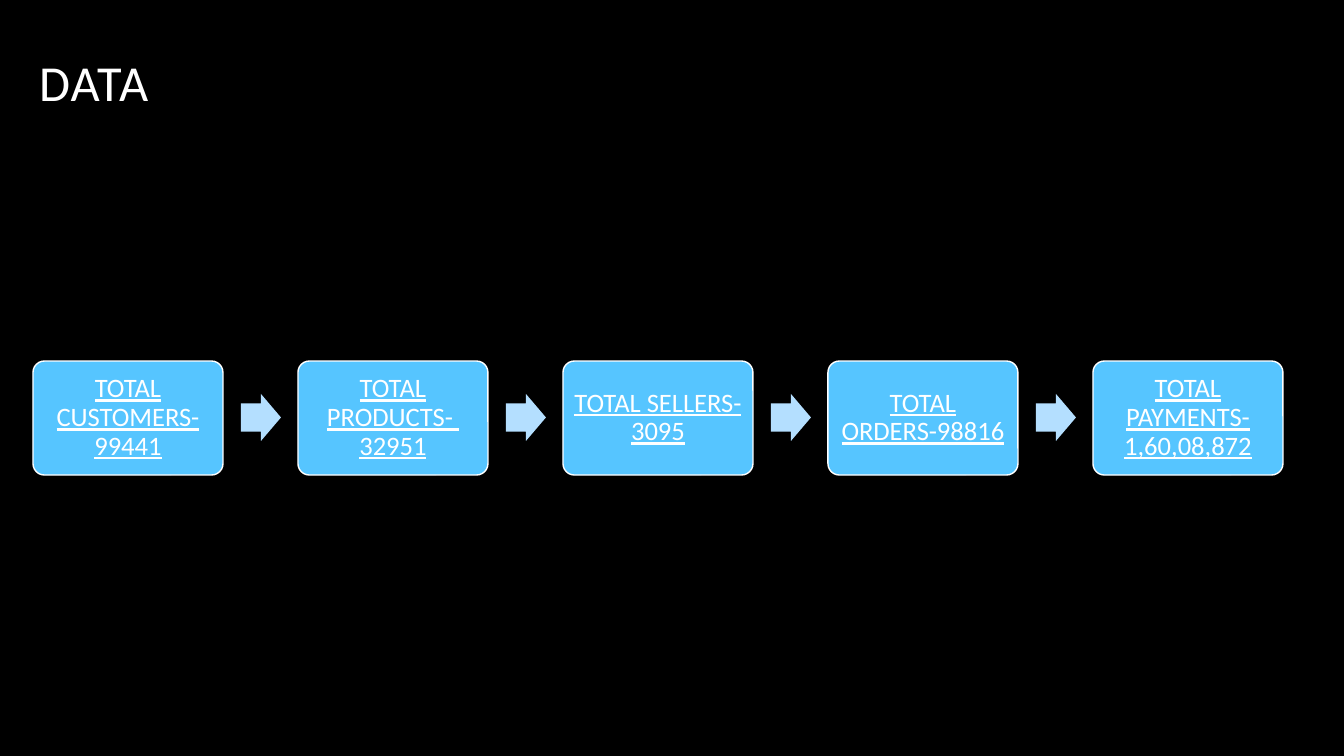
"""Build the DATA slide: five totals in a row of boxes joined by block arrows."""
from dataclasses import dataclass

from pptx import Presentation
from pptx import util as u
from pptx.dml.color import RGBColor
from pptx.enum import shapes, text

TITLE = "DATA"
TOTALS = [
    "TOTAL CUSTOMERS- 99441",
    "TOTAL PRODUCTS-  32951",
    "TOTAL SELLERS- 3095",
    "TOTAL ORDERS-98816",
    "TOTAL PAYMENTS- 1,60,08,872",
]

SLIDE_W, SLIDE_H = 1344, 756
TITLE_BOX = (29, 29, 1147, 88)
ROW_X, ROW_Y, PITCH = 33, 361, 265
BOX_W, BOX_H = 190, 114
ARROW_W, ARROW_H, ARROW_GAP = 40, 47, 18


@dataclass(frozen=True)
class Theme:
    font: str = "Calibri"
    background: str = "000000"
    ink: str = "FFFFFF"
    box: str = "56C5FF"
    arrow: str = "B4DFFF"
    title_size: int = 36
    box_size: int = 19
    line_width: int = 1


THEME = Theme()


def px(n):
    return u.Emu(round(n * 12192000 / SLIDE_W))


def rgb(value):
    return RGBColor.from_string(value)


def write(sp, content, size, anchor, align, inset, underline=False, spacing=0):
    tf = sp.text_frame
    tf.word_wrap = True
    tf.vertical_anchor = anchor
    tf.margin_left = tf.margin_right = px(inset[0])
    tf.margin_top = tf.margin_bottom = px(inset[1])
    p = tf.paragraphs[0]
    p.alignment = align
    p.line_spacing = 0.9
    r = p.add_run()
    r.text = content
    r.font.name = THEME.font
    r.font.size = u.Pt(size)
    r.font.underline = underline
    r.font.color.rgb = rgb(THEME.ink)
    if spacing:
        r.font._element.set("spc", str(spacing * 100))


def add_block(s, kind, box, fill, adjustments, line=None):
    sp = s.shapes.add_shape(kind, *map(px, box))
    sp.shadow.inherit = False
    sp.fill.solid()
    sp.fill.fore_color.rgb = rgb(fill)
    for i, value in enumerate(adjustments):
        sp.adjustments[i] = value
    if line:
        sp.line.color.rgb = rgb(line)
        sp.line.width = u.Pt(THEME.line_width)
    else:
        sp.line.fill.background()
    return sp


def main():
    prs = Presentation()
    prs.slide_width, prs.slide_height = px(SLIDE_W), px(SLIDE_H)
    s = prs.slides.add_slide(prs.slide_layouts[6])
    s.background.fill.solid()
    s.background.fill.fore_color.rgb = rgb(THEME.background)

    write(s.shapes.add_textbox(*map(px, TITLE_BOX)), TITLE, THEME.title_size,
          text.MSO_ANCHOR.BOTTOM, text.PP_ALIGN.LEFT, (10, 5), spacing=1)

    arrow_y = ROW_Y + (BOX_H - ARROW_H) // 2
    for i, total in enumerate(TOTALS):
        x = ROW_X + i * PITCH
        sp = add_block(s, shapes.MSO_SHAPE.ROUNDED_RECTANGLE,
                       (x, ROW_Y, BOX_W, BOX_H), THEME.box, [0.1], THEME.ink)
        write(sp, total, THEME.box_size, text.MSO_ANCHOR.MIDDLE,
              text.PP_ALIGN.CENTER, (8, 8), underline=True)
        if i < len(TOTALS) - 1:
            add_block(s, shapes.MSO_SHAPE.RIGHT_ARROW,
                      (x + BOX_W + ARROW_GAP, arrow_y, ARROW_W, ARROW_H),
                      THEME.arrow, [0.6, 0.5])

    prs.save("out.pptx")


if __name__ == "__main__":
    main()
